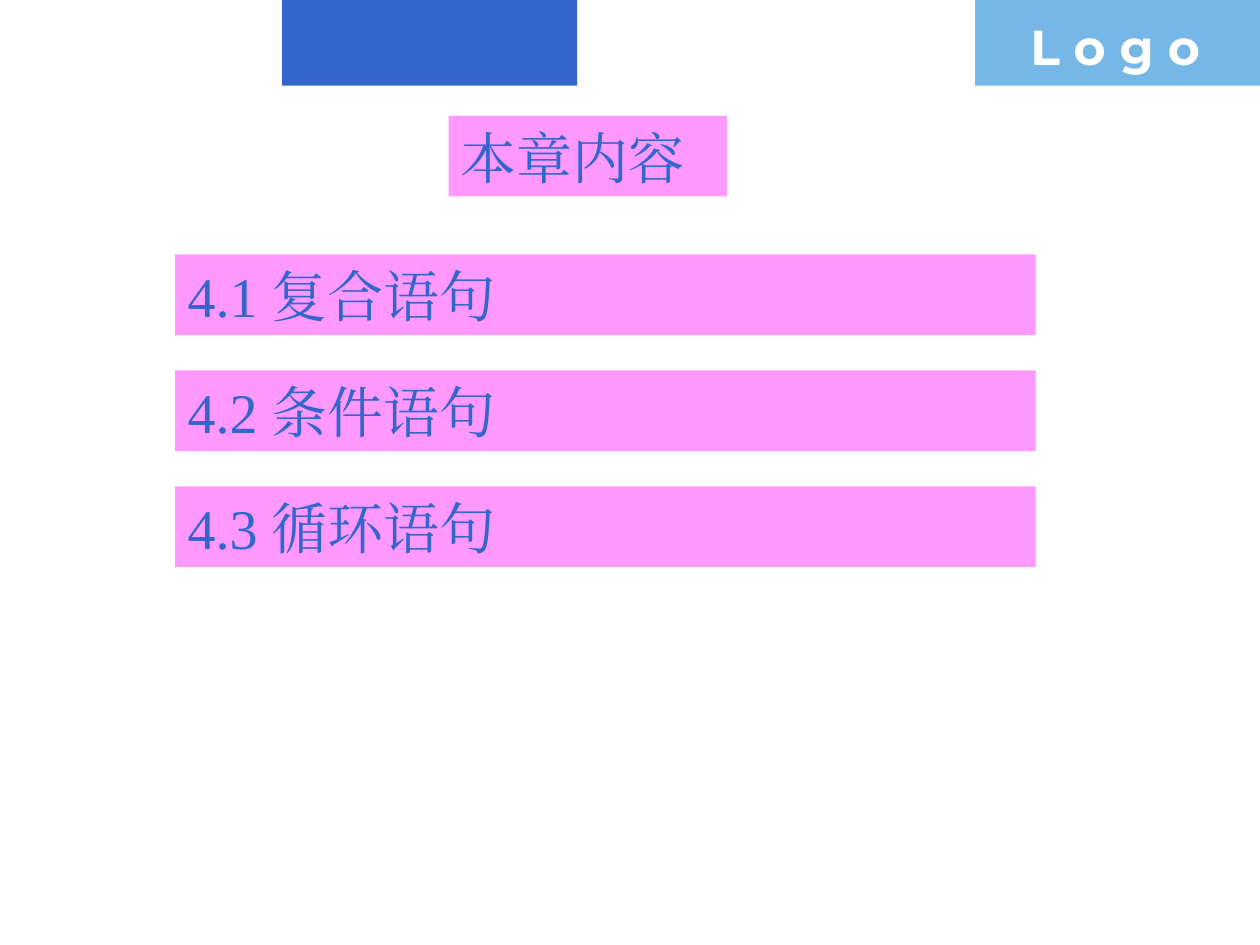
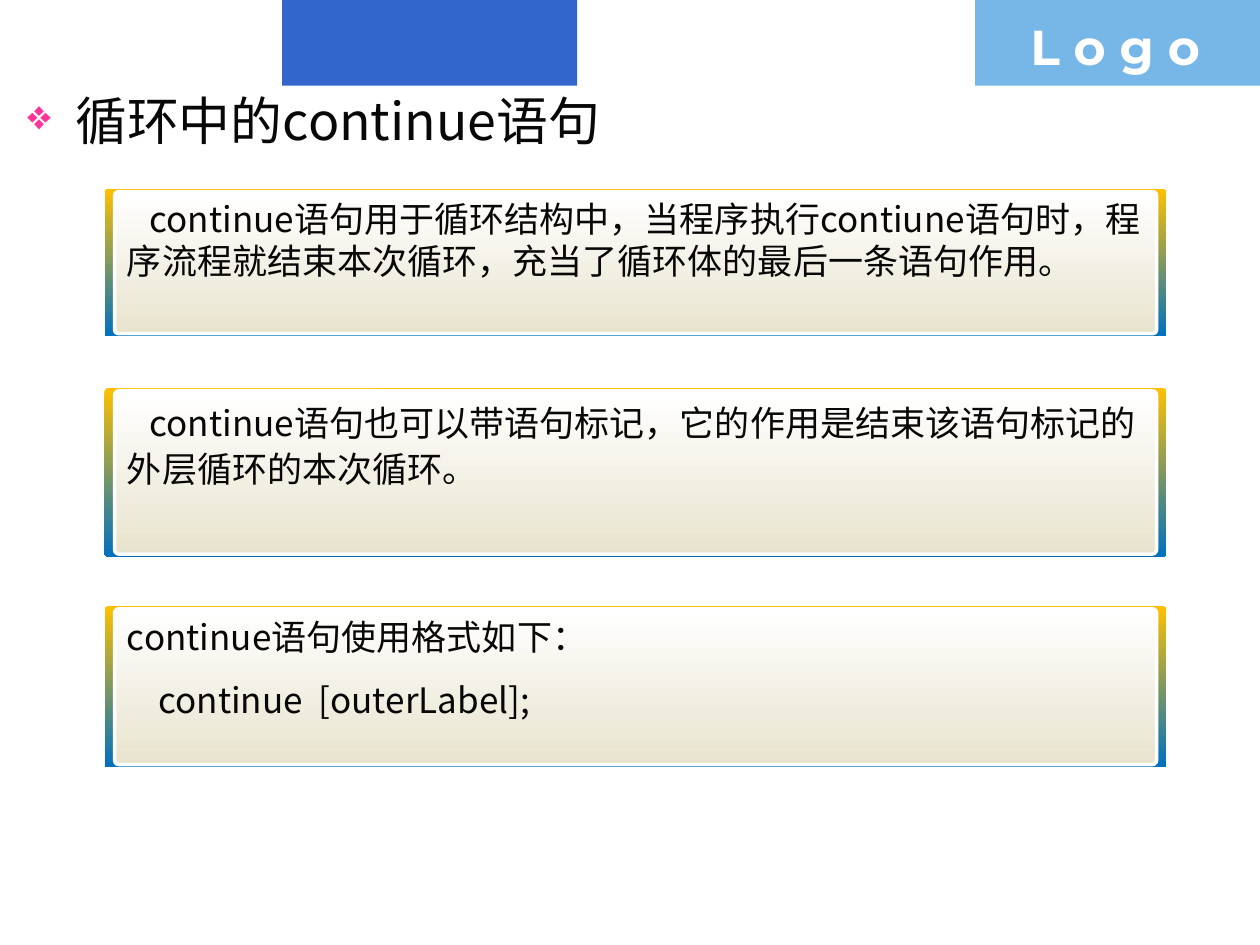
from collections import namedtuple

from lxml import etree
from pptx import Presentation
from pptx.dml.color import RGBColor
from pptx.enum.shapes import MSO_SHAPE
from pptx.enum.text import MSO_ANCHOR, PP_ALIGN
from pptx.oxml.ns import qn
from pptx.util import Inches, Pt

RECTANGLE = MSO_SHAPE.RECTANGLE
ROUNDED = MSO_SHAPE.ROUNDED_RECTANGLE
TOP, BOTTOM = MSO_ANCHOR.TOP, MSO_ANCHOR.BOTTOM
LEFT = PP_ALIGN.LEFT

COLUMNS, ROWS = 100, 75
CELL = Inches(0.1)

BLUE, SKY, PINK, MAGENTA = "3366CC", "77B7E7", "FF99FF", "FF3399"
WHITE, INK = "FFFFFF", "080808"
FRAME_GRADIENT = ("FFC000", "0070C0")
PANEL_GRADIENT = (WHITE, "E8E4CE")
SERIF, SANS, DISPLAY = "Times New Roman", "Noto Sans CJK SC", "Montserrat"

Box = namedtuple("Box", "left top width height")


def color(hex_string):
    """Turn a hex string into a colour."""
    return RGBColor.from_string(hex_string)


def cells(box):
    """Turn a box in grid cells into lengths."""
    return [round(value * CELL) for value in box]


def add_block(shapes, kind, box, fill, line=None, corner=None):
    """Add a preset shape with a plain fill or a vertical gradient."""
    shape = shapes.add_shape(kind, *cells(box))
    shape.shadow.inherit = False
    if corner is not None:
        shape.adjustments[0] = corner
    if isinstance(fill, str):
        shape.fill.solid()
        shape.fill.fore_color.rgb = color(fill)
    else:
        shape.fill.gradient()
        shape.fill.gradient_angle = 270
        for stop, hex_string, position in zip(shape.fill.gradient_stops, fill, (0, 1)):
            stop.color.rgb = color(hex_string)
            stop.position = position
    if line:
        shape.line.color.rgb = color(line)
        shape.line.width = Pt(2)
    else:
        shape.line.fill.background()
    return shape


def add_bullet(paragraph, symbol, hex_string, percent, indent):
    """Give a paragraph a coloured bullet with a hanging indent."""
    properties = paragraph._p.get_or_add_pPr()
    properties.set("marL", str(indent))
    properties.set("indent", str(-indent))
    bullet_color = etree.SubElement(properties, qn("a:buClr"))
    etree.SubElement(bullet_color, qn("a:srgbClr"), val=hex_string)
    etree.SubElement(properties, qn("a:buSzPct"), val=str(percent * 1000))
    etree.SubElement(properties, qn("a:buChar"), char=symbol)


def write(shape, text, size, font=SANS, ink=INK, bold=False, anchor=TOP,
          line_height=None, gap=0, first_indent=0, bullet=None):
    """Write lines of text into a shape, one paragraph per line."""
    frame = shape.text_frame
    frame.word_wrap = True
    frame.vertical_anchor = anchor
    for index, line in enumerate(text.split("\n")):
        paragraph = frame.add_paragraph() if index else frame.paragraphs[0]
        paragraph.alignment = LEFT
        if bullet:
            add_bullet(paragraph, **bullet)
        if first_indent:
            paragraph._p.get_or_add_pPr().set("indent", str(first_indent))
        if line_height:
            paragraph.line_spacing = Pt(line_height)
        if index:
            paragraph.space_before = Pt(gap)
        run = paragraph.add_run()
        run.text = line
        run.font.size = Pt(size)
        run.font.name = font
        run.font.bold = bold
        run.font.color.rgb = color(ink)
        etree.SubElement(run.font._element, qn("a:ea"), typeface=font)


def add_text(shapes, box, text, **text_format):
    """Add a text box with formatted text."""
    write(shapes.add_textbox(*cells(box)), text, **text_format)


def add_header(slide, box):
    """Place the two colour bands and the corner word."""
    add_block(slide.shapes, RECTANGLE, box._replace(left=box.left + 22.4, width=23.4), BLUE)
    corner = box._replace(left=box.left + 77.4, width=22.6)
    add_block(slide.shapes, RECTANGLE, corner, SKY)
    word = Box(corner.left + 3.4, corner.top + 0.8, 19.3, 5.7)
    add_text(slide.shapes, word, "L o g o", size=28, font=DISPLAY, ink=WHITE, bold=True)


def add_bar(slide, box, text):
    """Place a pink bar with a heading."""
    bar = add_block(slide.shapes, RECTANGLE, box, PINK)
    write(bar, text, size=32, font=SERIF, ink=BLUE, anchor=BOTTOM)


def add_contents(slide, box, title, sections):
    """Place the chapter title and evenly spaced section bars."""
    bar_height, pitch = 6.4, 9.2
    add_bar(slide, Box(box.left + 21.7, box.top, 22.1, bar_height), title)
    for index, section in enumerate(sections):
        top = box.top + 11 + index * pitch
        add_bar(slide, Box(box.left, top, box.width, bar_height), section)


def add_card(slide, box, text, **text_format):
    """Place a framed gradient panel with its text."""
    shapes = slide.shapes.add_group_shape().shapes
    panel = Box(box.left + 0.8, box.top + 0.22, box.width - 1.6, box.height - 0.44)
    add_block(shapes, ROUNDED, box, FRAME_GRADIENT, corner=0.024)
    add_block(shapes, ROUNDED, panel, PANEL_GRADIENT, line=WHITE, corner=0.027)
    add_text(shapes, panel, text, size=20, gap=12.5, **text_format)


def add_topic(slide, box, title, cards):
    """Place a bulleted title and the cards below it."""
    bullet = dict(symbol="❖", hex_string=MAGENTA, percent=80, indent=Inches(0.38))
    add_text(slide.shapes, Box(box.left, box.top, box.width, 6), title,
             size=29.6, line_height=38, bullet=bullet)
    for top, height, text, text_format in cards:
        card = Box(box.left + 7.1, box.top + top, 84.3, height)
        add_card(slide, card, text, **text_format)


def add_slide(presentation):
    """Add a blank slide with the shared header."""
    slide = presentation.slides.add_slide(presentation.slide_layouts[6])
    add_header(slide, Box(0, 0, COLUMNS, 6.8))
    return slide


def main():
    """Build and save the presentation."""
    presentation = Presentation()
    presentation.slide_width = COLUMNS * CELL
    presentation.slide_height = ROWS * CELL

    add_contents(add_slide(presentation), Box(13.9, 9.2, 68.3, 35.8), "本章内容",
                 ["4.1 复合语句", "4.2 条件语句", "4.3 循环语句"])

    opening = Inches(0.18)
    cards = [
        (8.8, 11.7, "continue语句用于循环结构中，当程序执行contiune语句时，"
         "程序流程就结束本次循环，充当了循环体的最后一条语句作用。",
         dict(line_height=24, first_indent=opening)),
        (24.6, 13.4, "continue语句也可以带语句标记，它的作用是结束该语句标记"
         "的外层循环的本次循环。",
         dict(line_height=26.4, first_indent=opening)),
        (41.9, 12.8, "continue语句使用格式如下：\n    continue  [outerLabel];",
         dict(line_height=24)),
    ]
    add_topic(add_slide(presentation), Box(1.2, 6.2, 95, 54.7),
              "循环中的continue语句", cards)

    presentation.save("out.pptx")


if __name__ == "__main__":
    main()
